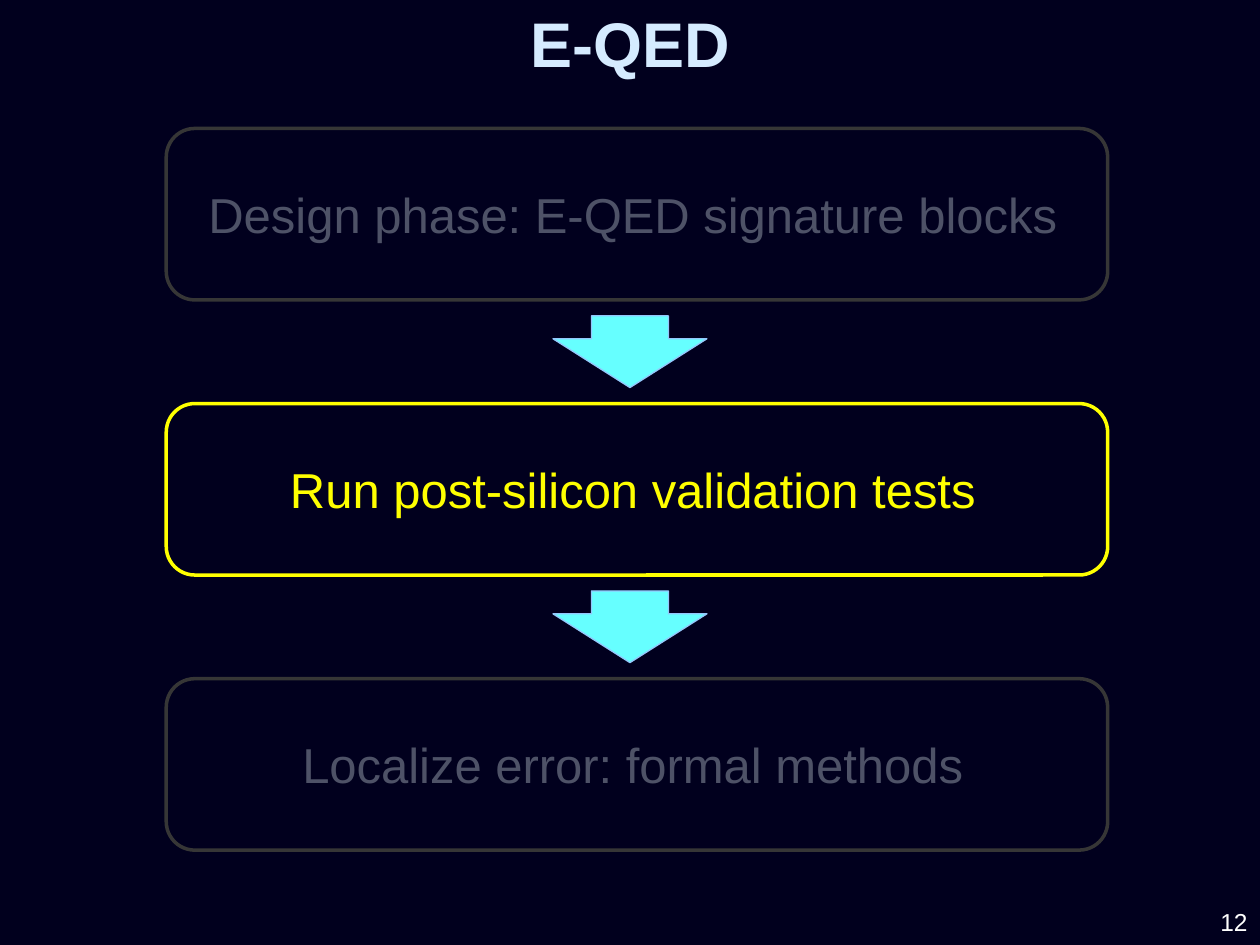
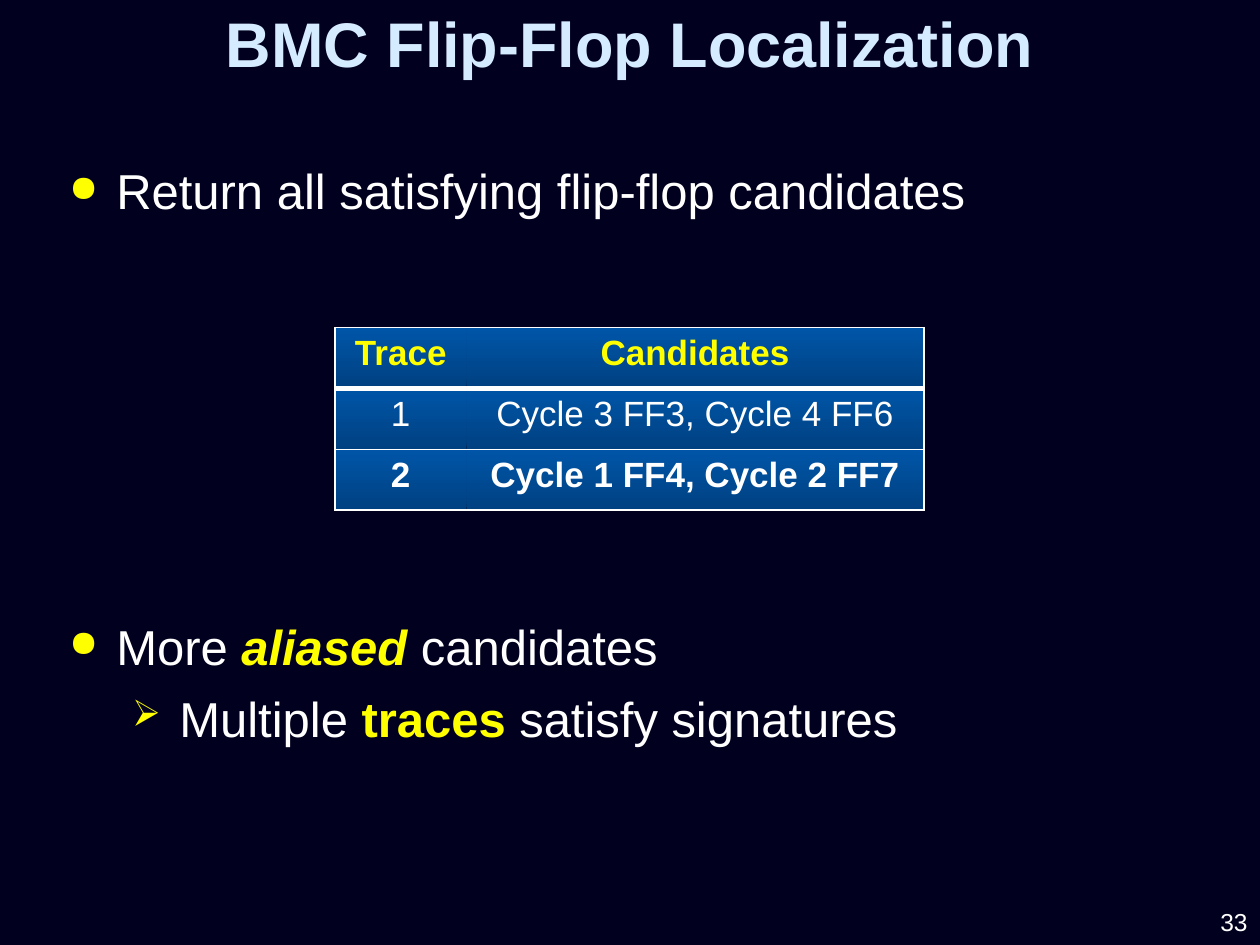
from lxml.etree import SubElement
from pptx import Presentation
from pptx.dml.color import RGBColor
from pptx.enum.shapes import MSO_SHAPE
from pptx.enum.text import MSO_ANCHOR, PP_ALIGN
from pptx.oxml.ns import qn
from pptx.util import Pt

NAVY = RGBColor(0x01, 0x00, 0x1E)
ICE = RGBColor(0xD5, 0xEB, 0xFF)
WHITE = RGBColor(0xFF, 0xFF, 0xFF)
YELLOW = RGBColor(0xFF, 0xFF, 0x00)
DIM_LINE = RGBColor(0x36, 0x36, 0x36)
DIM_TEXT = RGBColor(0x4E, 0x52, 0x67)
CYAN = RGBColor(0x66, 0xFF, 0xFF)
SKY = RGBColor(0x93, 0xC8, 0xFC)
CELL_DARK = RGBColor(0x00, 0x41, 0x81)
CELL_LIGHT = RGBColor(0x00, 0x55, 0xA8)

FONT = "Arial"
SLIDE_WIDTH, SLIDE_HEIGHT = 720, 540
BODY_SIZE = 28

TITLE = {"size": Pt(36), "bold": True, "color": ICE}
NUMBER = {"size": Pt(14), "color": WHITE}
BODY = {"size": Pt(BODY_SIZE), "color": WHITE}
STRONG = {**BODY, "bold": True, "color": YELLOW}
STRONG_ITALIC = {**STRONG, "italic": True}
CELL = {"size": Pt(20), "bold": False, "color": WHITE}
CELL_BOLD = {**CELL, "bold": True}
CELL_HEADER = {**CELL_BOLD, "color": YELLOW}

STEPS = [
    ("Design phase: E-QED signature blocks", False),
    ("Run post-silicon validation tests", True),
    ("Localize error: formal methods", False),
]
STEP_LEFT, STEP_TOP, STEP_WIDTH, STEP_HEIGHT = 95, 73.4, 538, 98
ARROW_WIDTH, ARROW_HEIGHT, ARROW_GAP = 88, 41, 9.1

TRACE_ROWS = [
    (("Trace", "Candidates"), CELL_HEADER),
    (("1", "Cycle 3 FF3, Cycle 4 FF6"), CELL),
    (("2", "Cycle 1 FF4, Cycle 2 FF7"), CELL_BOLD),
]
TRACE_COLUMNS = (75, 261.4)
TRACE_ROW_HEIGHT = 34.8


def add_run(paragraph, text, style):
    run = paragraph.add_run()
    run.text = text
    run.font.name = FONT
    for attribute, value in style.items():
        if attribute == "color":
            run.font.color.rgb = value
        else:
            setattr(run.font, attribute, value)


def add_text_frame(slide, left, top, width, height, anchor=MSO_ANCHOR.TOP):
    box = slide.shapes.add_textbox(Pt(left), Pt(top), Pt(width), Pt(height))
    frame = box.text_frame
    frame.word_wrap = True
    frame.vertical_anchor = anchor
    return frame


def add_base_slide(deck, title, number):
    """Add a slide with the shared background, title and page number."""
    slide = deck.slides.add_slide(deck.slide_layouts[6])
    slide.background.fill.solid()
    slide.background.fill.fore_color.rgb = NAVY

    heading = add_text_frame(slide, 0, 9, SLIDE_WIDTH, 36, MSO_ANCHOR.MIDDLE).paragraphs[0]
    heading.alignment = PP_ALIGN.CENTER
    heading.line_spacing = 0.9
    add_run(heading, title, TITLE)

    footer = add_text_frame(slide, 589, 514.4, 131, 25, MSO_ANCHOR.MIDDLE).paragraphs[0]
    footer.alignment = PP_ALIGN.RIGHT
    add_run(footer, number, NUMBER)
    return slide


def add_step(slide, top, text, active):
    step = slide.shapes.add_shape(
        MSO_SHAPE.ROUNDED_RECTANGLE,
        Pt(STEP_LEFT), Pt(top), Pt(STEP_WIDTH), Pt(STEP_HEIGHT))
    step.shadow.inherit = False
    step.fill.background()
    step.line.color.rgb = YELLOW if active else DIM_LINE
    step.line.width = Pt(2)
    frame = step.text_frame
    frame.word_wrap = True
    frame.margin_right = Pt(12)
    frame.vertical_anchor = MSO_ANCHOR.MIDDLE
    frame.paragraphs[0].alignment = PP_ALIGN.CENTER
    add_run(frame.paragraphs[0], text, {**BODY, "color": YELLOW if active else DIM_TEXT})


def add_step_arrow(slide, top):
    arrow = slide.shapes.add_shape(
        MSO_SHAPE.DOWN_ARROW, Pt((SLIDE_WIDTH - ARROW_WIDTH) / 2), Pt(top),
        Pt(ARROW_WIDTH), Pt(ARROW_HEIGHT))
    arrow.adjustments[1] = 0.68
    arrow.shadow.inherit = False
    arrow.fill.solid()
    arrow.fill.fore_color.rgb = CYAN
    arrow.line.color.rgb = SKY
    arrow.line.width = Pt(0.75)


def set_bullet(paragraph, symbol, indent):
    properties = paragraph._p.get_or_add_pPr()
    properties.set("marL", str(Pt(indent)))
    properties.set("indent", str(-Pt(27)))
    color = SubElement(properties, qn("a:buClr"))
    SubElement(color, qn("a:srgbClr"), val=str(YELLOW))
    SubElement(properties, qn("a:buSzPct"), val="75000")
    SubElement(properties, qn("a:buChar"), char=symbol)


def add_bullets(slide, top, points, line_spacing=None):
    """Add bullets; each point is its level and its (text, style) pieces."""
    frame = add_text_frame(slide, 32.4, top, 664.6, 55)
    for index, (level, pieces) in enumerate(points):
        paragraph = frame.add_paragraph() if index else frame.paragraphs[0]
        set_bullet(paragraph, "●➢"[level], 27 + 36 * level)
        paragraph.level = level
        paragraph.space_after = Pt(8)
        paragraph.line_spacing = line_spacing
        for text, style in pieces:
            add_run(paragraph, text, style)


def set_borders(cell, widths):
    """Draw white borders, given widths by side; a width of 0 hides the side."""
    properties = cell._tc.get_or_add_tcPr()
    for position, side in enumerate("LRTB"):
        border = properties.makeelement(qn(f"a:ln{side}"), {"w": str(Pt(widths[side]))})
        if widths[side]:
            fill = SubElement(border, qn("a:solidFill"))
            SubElement(fill, qn("a:srgbClr"), val=str(WHITE))
        else:
            SubElement(border, qn("a:noFill"))
        properties.insert(position, border)


def fill_cell(cell, text, style):
    cell.fill.gradient()
    cell.fill.gradient_angle = 90
    for stop, color in zip(cell.fill.gradient_stops, (CELL_DARK, CELL_LIGHT)):
        stop.color.rgb = color
    paragraph = cell.text_frame.paragraphs[0]
    paragraph.alignment = PP_ALIGN.CENTER
    add_run(paragraph, text, style)


def add_trace_table(slide, left, top):
    table = slide.shapes.add_table(
        len(TRACE_ROWS), len(TRACE_COLUMNS), Pt(left), Pt(top),
        Pt(sum(TRACE_COLUMNS)), Pt(TRACE_ROW_HEIGHT * len(TRACE_ROWS))).table
    table.first_row = table.horz_banding = False
    for column, width in zip(table.columns, TRACE_COLUMNS):
        column.width = Pt(width)
    last_column = len(TRACE_COLUMNS) - 1
    for r, (texts, style) in enumerate(TRACE_ROWS):
        table.rows[r].height = Pt(TRACE_ROW_HEIGHT)
        for c, text in enumerate(texts):
            cell = table.cell(r, c)
            fill_cell(cell, text, style)
            set_borders(cell, {
                "L": 1 if c == 0 else 0,
                "R": 1 if c == last_column else 0,
                "T": 3 if r == 1 else 1,
                "B": 3 if r == 0 else 1,
            })


def build_flow_slide(deck):
    slide = add_base_slide(deck, "E-QED", "12")
    pitch = STEP_HEIGHT + ARROW_HEIGHT + 2 * ARROW_GAP
    for index, (text, active) in enumerate(STEPS):
        top = STEP_TOP + index * pitch
        add_step(slide, top, text, active)
        if index < len(STEPS) - 1:
            add_step_arrow(slide, top + STEP_HEIGHT + ARROW_GAP)


def build_localization_slide(deck):
    slide = add_base_slide(deck, "BMC Flip-Flop Localization", "33")
    add_bullets(slide, 75, [
        (0, [("Return all satisfying flip-flop candidates", BODY)]),
    ], line_spacing=1.4)
    add_trace_table(slide, 191.5, 187.2)
    add_bullets(slide, 348.5, [
        (0, [("More ", BODY), ("aliased", STRONG_ITALIC), (" candidates", BODY)]),
        (1, [("Multiple ", BODY), ("traces", STRONG), (" satisfy signatures", BODY)]),
    ])


def main():
    deck = Presentation()
    deck.slide_width, deck.slide_height = Pt(SLIDE_WIDTH), Pt(SLIDE_HEIGHT)
    build_flow_slide(deck)
    build_localization_slide(deck)
    deck.save("out.pptx")


if __name__ == "__main__":
    main()
